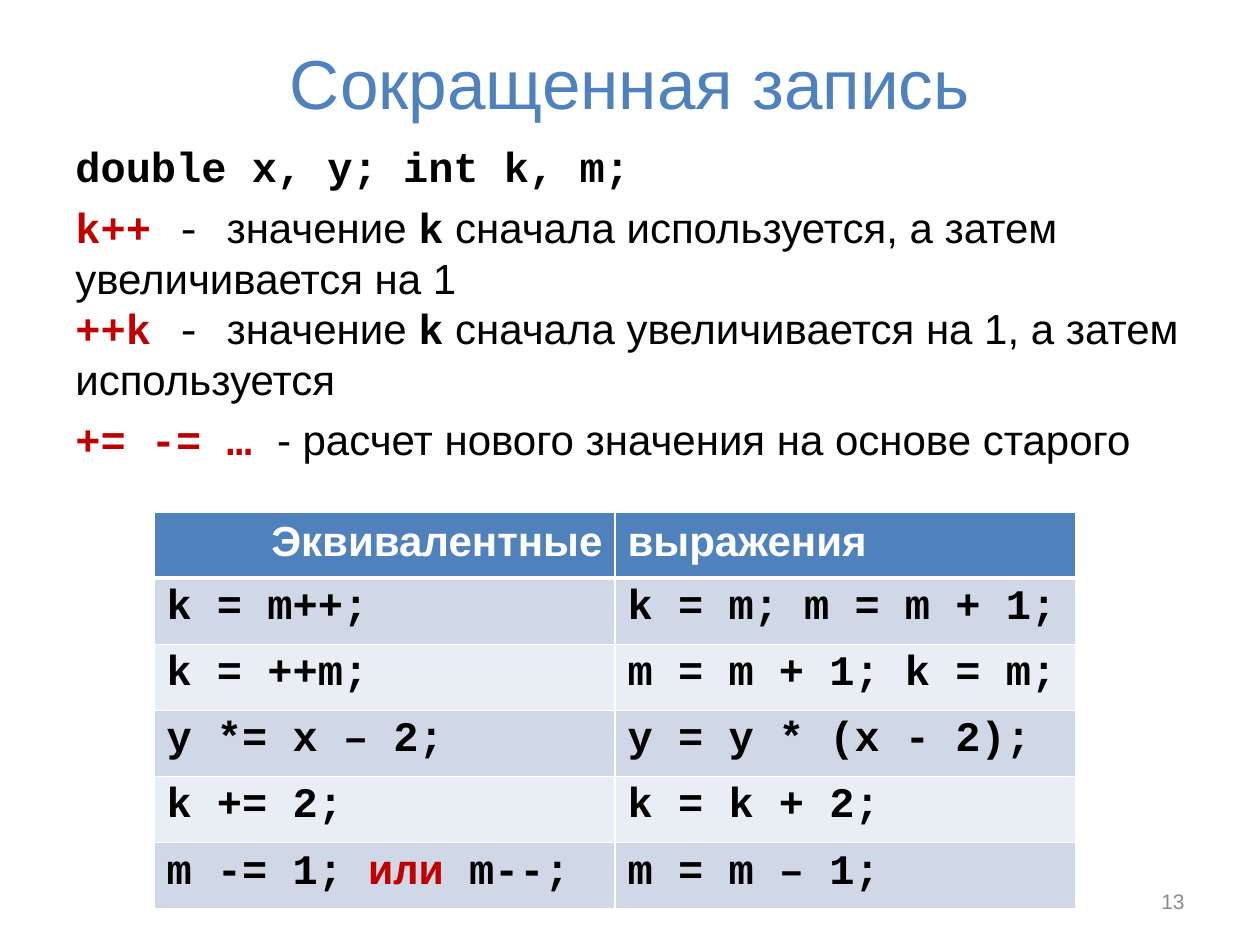
from typing import NamedTuple

from lxml import etree
from pptx import Presentation
from pptx.dml.color import RGBColor
from pptx.enum import text as t
from pptx.oxml import ns
from pptx.util import Pt

COLORS = {
    "accent": "4F81BD", "code": "C00000", "text": "000000", "white": "FFFFFF",
    "number": "8C8C8C", "band_dark": "D0D8E8", "band_light": "E9EDF4",
}
SANS, MONO = "Arial", "Courier New"


class Span(NamedTuple):
    text: str
    font: str = SANS
    bold: bool = False
    color: str = "text"
    size: float = 24


class Line(NamedTuple):
    spans: list[Span]
    before: float = 0
    align: t.PP_ALIGN = t.PP_ALIGN.LEFT


class Box(NamedTuple):
    left: float
    top: float
    width: float
    height: float


def code(words: str, color: str = "text") -> Span:
    return Span(words, MONO, True, color)


def write(frame, lines: list[Line]) -> None:
    for index, line in enumerate(lines):
        paragraph = frame.paragraphs[0] if index == 0 else frame.add_paragraph()
        paragraph.alignment = line.align
        paragraph.space_before = Pt(line.before)
        for span in line.spans:
            run = paragraph.add_run()
            run.text = span.text
            run.font.name = span.font
            run.font.size = Pt(span.size)
            run.font.bold = span.bold
            run.font.color.rgb = RGBColor.from_string(COLORS[span.color])


def add_text(slide, box: Box, lines: list[Line], anchor=t.MSO_ANCHOR.TOP) -> None:
    frame = slide.shapes.add_textbox(*map(Pt, box)).text_frame
    frame.word_wrap = True
    frame.vertical_anchor = anchor
    write(frame, lines)


def add_borders(cell, widths: dict[str, float]) -> None:
    properties = cell._tc.get_or_add_tcPr()
    for side, width in widths.items():
        edge = etree.SubElement(properties, ns.qn(f"a:ln{side}"), w=str(Pt(width)))
        fill = etree.SubElement(edge, ns.qn("a:solidFill"))
        etree.SubElement(fill, ns.qn("a:srgbClr"), val=COLORS["white"])


def add_equivalents(slide, box: Box, rows: list[list[Line]]) -> None:
    frame = slide.shapes.add_table(len(rows), len(rows[0]), *map(Pt, box))
    table = frame.table
    for row in table.rows:
        row.height = Pt(box.height / len(rows))
    for r, row in enumerate(rows):
        if r == 0:
            fill = "accent"
        else:
            fill = "band_dark" if r % 2 else "band_light"
        for c, line in enumerate(row):
            cell = table.cell(r, c)
            # The rule under the header is thicker than the others
            add_borders(cell, {"L": 1, "R": 1, "T": 3 if r == 1 else 1,
                               "B": 3 if r == 0 else 1})
            cell.fill.solid()
            cell.fill.fore_color.rgb = RGBColor.from_string(COLORS[fill])
            write(cell.text_frame, [line])


def main() -> None:
    deck = Presentation()
    deck.slide_width, deck.slide_height = Pt(720), Pt(540)
    slide = deck.slides.add_slide(deck.slide_layouts[6])

    # Title
    title = Span("Сокращенная запись", color="accent", size=39.6)
    add_text(slide, Box(36, 21.6, 648, 49.7),
             [Line([title], align=t.PP_ALIGN.CENTER)], t.MSO_ANCHOR.MIDDLE)

    # Explanation of the operators
    def increment(operator: str, meaning: str) -> list[Span]:
        return [code(f"{operator} ", "code"), Span("- ", MONO),
                Span("значение "), code("k"), Span(meaning)]

    add_text(slide, Box(36, 77, 648, 448), [
        Line([code("double x, y; int k, m;")], 6),
        Line(increment("k++", " сначала используется, а затем увеличивается на 1"), 6),
        Line(increment("++k", " сначала увеличивается на 1, а затем используется")),
        Line([code("+= -= … ", "code"),
              Span("- расчет нового значения на основе старого")], 6),
    ])

    # Slide number
    add_text(slide, Box(516, 500.5, 168, 28.8),
             [Line([Span("13", color="number", size=12)], align=t.PP_ALIGN.RIGHT)],
             t.MSO_ANCHOR.MIDDLE)

    # Table of equivalent expressions
    header = [Line([Span("Эквивалентные", SANS, True, "white")], align=t.PP_ALIGN.RIGHT),
              Line([Span("выражения", SANS, True, "white")])]
    pairs = [
        ("k = m++;", "k = m; m = m + 1;"),
        ("k = ++m;", "m = m + 1; k = m;"),
        ("y *= x – 2;", "y = y * (x - 2);"),
        ("k += 2;", "k = k + 2;"),
    ]
    decrement = [Line([code("m -= 1; "), code("или ", "code"), code("m--;")]),
                 Line([code("m = m – 1;")])]
    expressions = [[Line([code(side)]) for side in pair] for pair in pairs]
    add_equivalents(slide, Box(88, 292.6, 527, 226.8),
                    [header, *expressions, decrement])

    deck.save("out.pptx")


if __name__ == "__main__":
    main()
